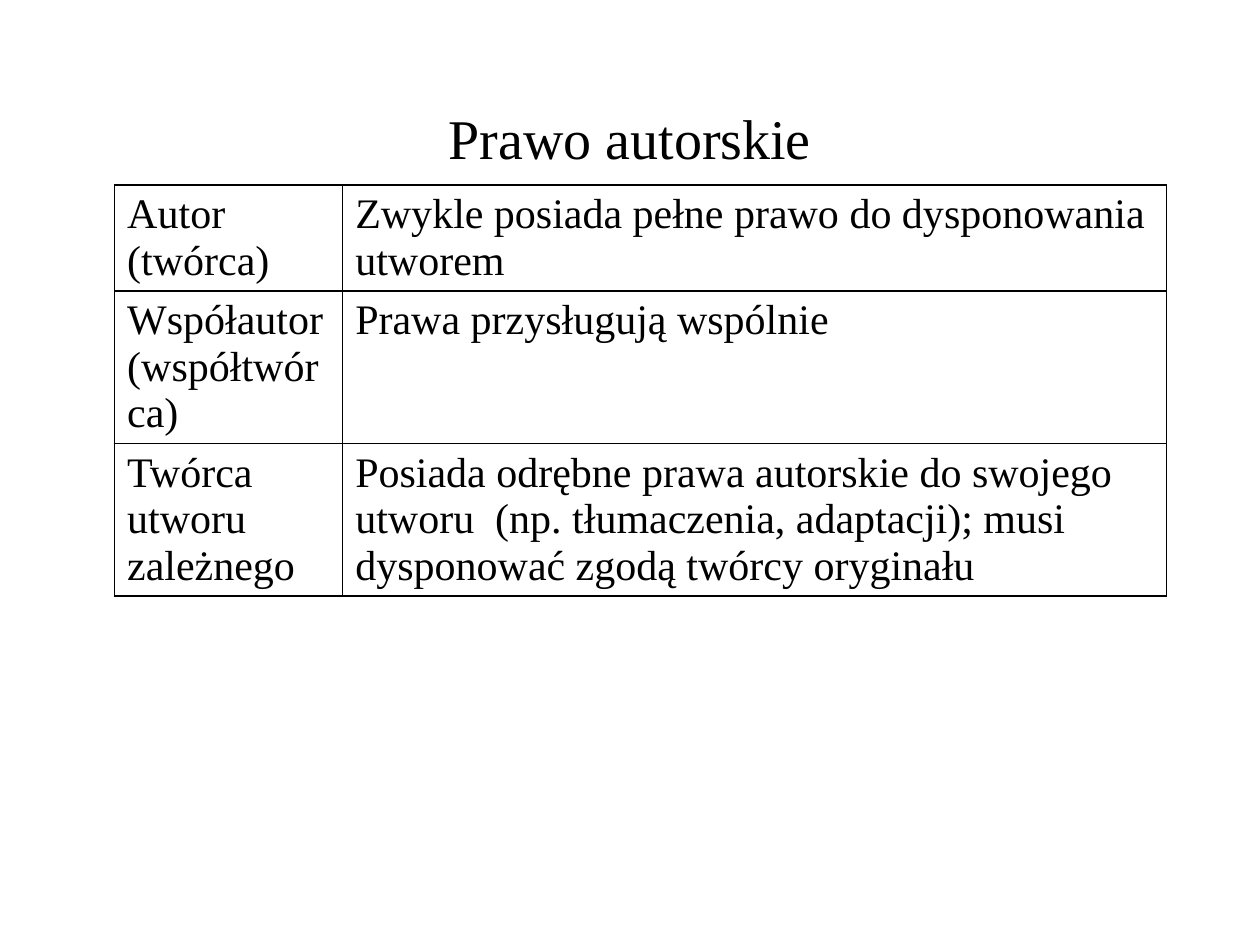
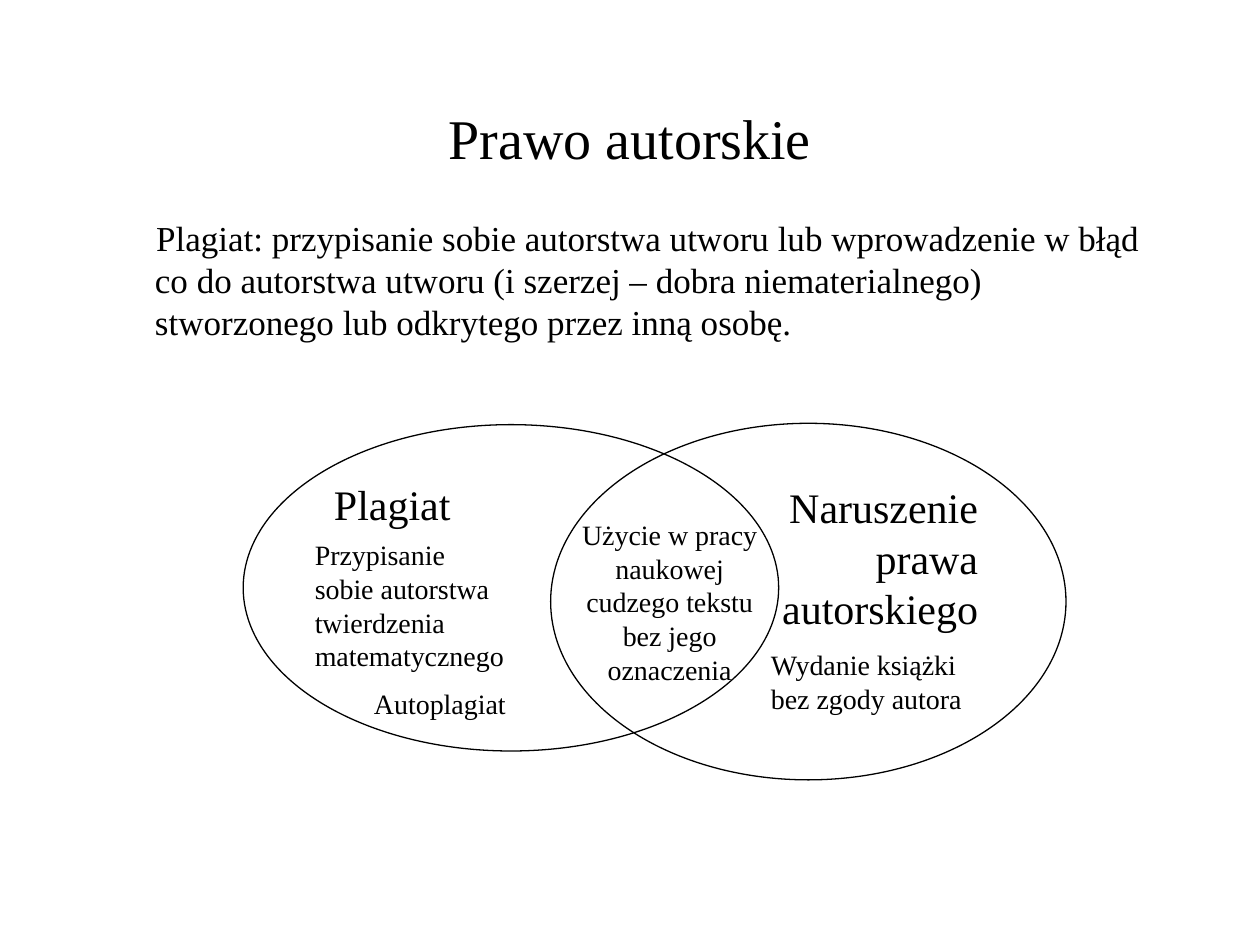
from lxml import etree
from pptx import Presentation
from pptx.dml.color import RGBColor
from pptx.enum.shapes import MSO_SHAPE
from pptx.enum.text import MSO_ANCHOR, MSO_AUTO_SIZE, PP_ALIGN
from pptx.oxml.ns import qn
from pptx.util import Pt

LEFT, CENTER, RIGHT = PP_ALIGN.LEFT, PP_ALIGN.CENTER, PP_ALIGN.RIGHT
TOP, MIDDLE = MSO_ANCHOR.TOP, MSO_ANCHOR.MIDDLE
OVAL = MSO_SHAPE.OVAL
NO_FIT, GROW = MSO_AUTO_SIZE.NONE, MSO_AUTO_SIZE.SHAPE_TO_FIT_TEXT

FONT, INK, PAPER = "Times New Roman", "000000", "FFFFFF"
SCALE = 9144  # 100 px to the inch
TITLE = "Prawo autorskie"
TITLE_BOX = (75, 67, 850, 83)

RIGHTS = [
    ("Autor (twórca)", "Zwykle posiada pełne prawo do dysponowania utworem"),
    ("Współautor (współtwórca)", "Prawa przysługują wspólnie"),
    ("Twórca utworu zależnego",
     "Posiada odrębne prawa autorskie do swojego utworu  (np. tłumaczenia, "
     "adaptacji); musi dysponować zgodą twórcy oryginału"),
]
TABLE_AT = (91, 147)
COLS, ROWS = (181, 654), (84, 121, 121)

PLAGIARISM = (
    "Plagiat: przypisanie sobie autorstwa utworu lub wprowadzenie w błąd "
    "co do autorstwa utworu (i szerzej – dobra niematerialnego) "
    "stworzonego lub odkrytego przez inną osobę.")
BODY_BOX = (75, 167, 850, 500)
SETS = [
    ((437, 336, 409, 283), "Naruszenie\nprawa\nautorskiego", RIGHT),
    ((193, 337, 425, 259), "Plagiat", LEFT),
]
CASE_WIDTH = 173
CASES = [
    (445, 406, 145, "Użycie w pracy\nnaukowej cudzego tekstu bez jego oznaczenia",
     CENTER),
    (240, 422, 118, "Przypisanie sobie autorstwa twierdzenia matematycznego", LEFT),
    (602, 509, 64, "Wydanie książki bez zgody autora", LEFT),
    (287, 540, 37, "Autoplagiat", LEFT),
]


def px(*sizes):
    return [size * SCALE for size in sizes]


def color(code):
    return RGBColor.from_string(code)


def write(frame, text, size=24, align=LEFT, anchor=TOP, fit=NO_FIT, indent=None):
    frame.word_wrap = True
    frame.auto_size = fit
    frame.vertical_anchor = anchor
    for i, line in enumerate(text.split("\n")):
        para = frame.paragraphs[0] if i == 0 else frame.add_paragraph()
        para.text = line
        para.alignment = align
        para.space_before = Pt(0)
        if indent:
            props = para._p.get_or_add_pPr()
            for key, value in zip(("marL", "indent"), px(*indent)):
                props.set(key, str(value))
            etree.SubElement(props, qn("a:buNone"))
        for run in para.runs:
            font = run.font
            font.name, font.size, font.bold = FONT, Pt(size), False
            font.color.rgb = color(INK)


def place(shape, box):
    shape.left, shape.top, shape.width, shape.height = px(*box)


def add_page(deck, layout):
    page = deck.slides.add_slide(deck.slide_layouts[layout])
    fill = page.background.fill
    fill.solid()
    fill.fore_color.rgb = color(PAPER)
    place(page.shapes.title, TITLE_BOX)
    write(page.shapes.title.text_frame, TITLE, size=32, align=CENTER, anchor=MIDDLE)
    return page


def edge(cell):
    """Draw a thin line on all four sides of a cell."""
    props = cell._tc.get_or_add_tcPr()
    for side in ("lnL", "lnR", "lnT", "lnB"):
        line = etree.SubElement(props, qn(f"a:{side}"), w=str(Pt(1)))
        fill = etree.SubElement(line, qn("a:solidFill"))
        etree.SubElement(fill, qn("a:srgbClr"), val=INK)


def add_rights(page):
    box = px(*TABLE_AT, sum(COLS), sum(ROWS))
    table = page.shapes.add_table(len(ROWS), len(COLS), *box).table
    table.first_row = table.horz_banding = False
    for col, width in zip(table.columns, px(*COLS)):
        col.width = width
    for row, height, texts in zip(table.rows, px(*ROWS), RIGHTS):
        row.height = height
        for cell, text in zip(row.cells, texts):
            edge(cell)
            cell.fill.background()
            write(cell.text_frame, text)


def add_venn(page):
    for box, text, align in SETS:
        oval = page.shapes.add_shape(OVAL, *px(*box))
        oval.shadow.inherit = False
        oval.fill.background()
        oval.line.color.rgb = color(INK)
        oval.line.width = Pt(0.75)
        write(oval.text_frame, text, align=align)
    for left, top, height, text, align in CASES:
        label = page.shapes.add_textbox(*px(left, top, CASE_WIDTH, height))
        write(label.text_frame, text, size=16, align=align, fit=GROW)


def main():
    deck = Presentation()
    deck.slide_width, deck.slide_height = px(1000, 750)
    add_rights(add_page(deck, 5))
    page = add_page(deck, 1)
    body = page.placeholders[1]
    place(body, BODY_BOX)
    write(body.text_frame, PLAGIARISM, size=20, indent=(38, 1))
    add_venn(page)
    deck.save("out.pptx")


if __name__ == "__main__":
    main()
